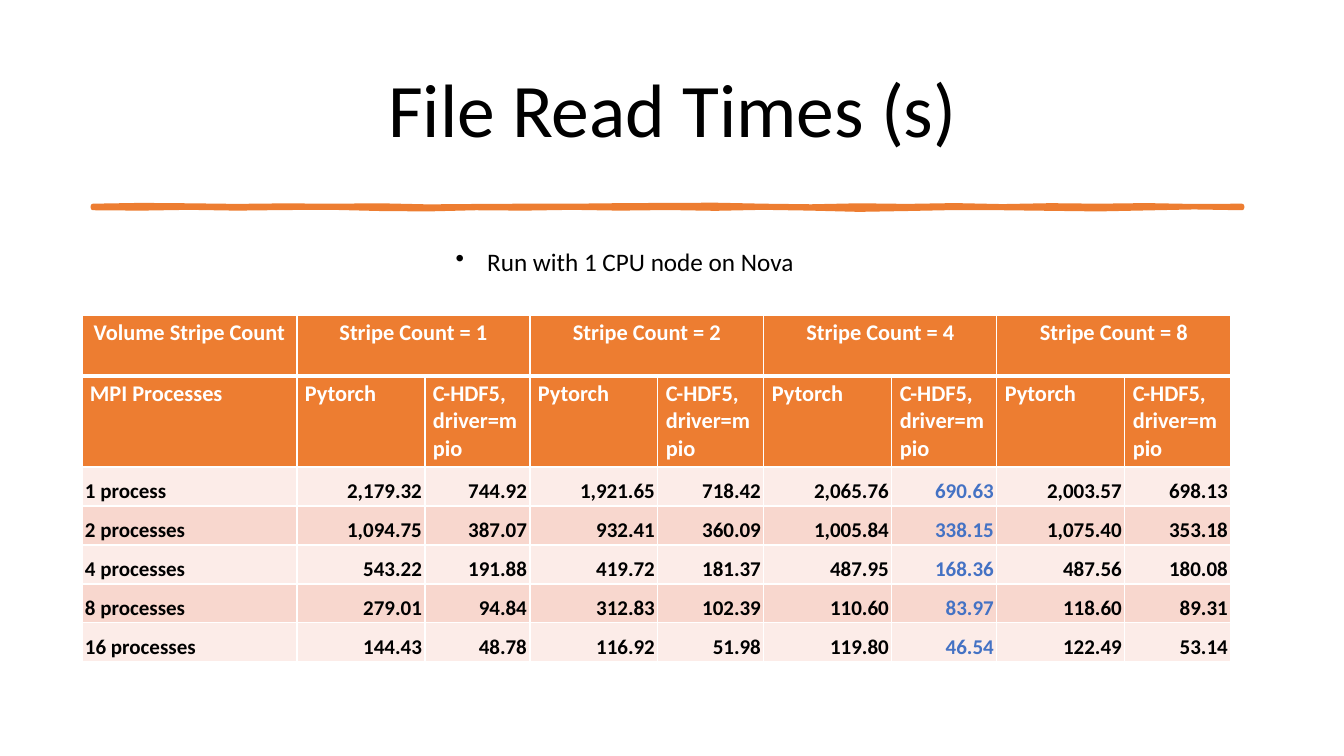
from pptx import Presentation
from pptx.dml.color import RGBColor
from pptx.enum.text import MSO_ANCHOR, PP_ALIGN
from pptx.oxml import parse_xml
from pptx.oxml.ns import nsdecls
from pptx.util import Emu, Pt

PIXEL = 914400 / 100.8
FONT = "Calibri"
COLORS = {
    "black": "000000",
    "white": "FFFFFF",
    "orange": "ED7D31",
    "blue": "4472C4",
    "light": "FCECE8",
    "peach": "F8D7CE",
}

COLUMN_WIDTHS = [215] + [128, 105, 128, 106] * 2
ROW_HEIGHTS = [61, 91] + [39] * 5
STRIPE_COUNTS = [1, 2, 4, 8]
BEST_COLUMN = 6
READ_TIMES = [
    ["1 process", "2,179.32", "744.92", "1,921.65", "718.42",
     "2,065.76", "690.63", "2,003.57", "698.13"],
    ["2 processes", "1,094.75", "387.07", "932.41", "360.09",
     "1,005.84", "338.15", "1,075.40", "353.18"],
    ["4 processes", "543.22", "191.88", "419.72", "181.37",
     "487.95", "168.36", "487.56", "180.08"],
    ["8 processes", "279.01", "94.84", "312.83", "102.39",
     "110.60", "83.97", "118.60", "89.31"],
    ["16 processes", "144.43", "48.78", "116.92", "51.98",
     "119.80", "46.54", "122.49", "53.14"],
]

# Height of the brush stroke's edges at equal steps, in tenths of a pixel
STROKE_TOP = [0, -8, -4, 2, -3, 0, -4, 7, 3, 0, 0, -5, -8,
              -10, 0, 6, -4, 2, -6, 4, -5, 0, -6, 3, 0]
STROKE_BOTTOM = [20, 24, 16, 24, 18, 16, 28, 32, 20, 24, 16, 24, 18,
                 26, 16, 24, 36, 28, 18, 20, 26, 32, 22, 12, 20]


def emu(pixels):
    """Turn pixels into EMU."""
    return Emu(round(pixels * PIXEL))


def color(name):
    """Look up a named colour."""
    return RGBColor.from_string(COLORS[name])


def write(frame, text, size, ink, align, bold=False):
    """Write one uniformly styled paragraph and return it."""
    para = frame.paragraphs[0]
    para.text = text
    para.alignment = align
    para.font.name = FONT
    para.font.size = Pt(size)
    para.font.bold = bold
    para.font.color.rgb = color(ink)
    return para


def add_text(page, box, text, size):
    """Add a centred text box and return its paragraph."""
    frame = page.shapes.add_textbox(*map(emu, box)).text_frame
    frame.word_wrap = True
    frame.vertical_anchor = MSO_ANCHOR.MIDDLE
    return write(frame, text, size, "black", PP_ALIGN.CENTER)


def add_title(page, box):
    """Add the slide title."""
    add_text(page, box, "File Read Times (s)", 54).line_spacing = 0.9


def add_note(page, box):
    """Add the bulleted remark above the table."""
    para = add_text(page, box, "Run with 1 CPU node on Nova ", 18)
    settings = para._p.get_or_add_pPr()
    settings.set("marL", "285750")
    settings.set("indent", "-285750")
    settings.insert(0, parse_xml(f'<a:buChar {nsdecls("a")} char="•"/>'))


def add_stroke(page, box):
    """Draw the hand-drawn rule across the box."""
    left, top, width, _ = box
    step = width * 10 / (len(STROKE_TOP) - 1)
    upper = [(left * 10 + i * step, top * 10 + y) for i, y in enumerate(STROKE_TOP)]
    lower = [(left * 10 + i * step, top * 10 + y) for i, y in enumerate(STROKE_BOTTOM)]
    builder = page.shapes.build_freeform(*upper[0], scale=PIXEL / 10)
    builder.add_line_segments(upper[1:] + lower[::-1], close=True)
    stroke = builder.convert_to_shape()
    stroke.shadow.inherit = False
    stroke.fill.solid()
    stroke.fill.fore_color.rgb = color("orange")
    stroke.line.color.rgb = color("orange")
    stroke.line.width = Pt(3.25)


def add_borders(cell, top, bottom):
    """Draw white cell borders; top and bottom are widths in points."""
    settings = cell._tc.get_or_add_tcPr()
    widths = {"lnL": 1, "lnR": 1, "lnT": top, "lnB": bottom}
    for index, (side, points) in enumerate(widths.items()):
        settings.insert(index, parse_xml(
            f'<a:{side} {nsdecls("a")} w="{Pt(points)}"><a:solidFill>'
            f'<a:srgbClr val="{COLORS["white"]}"/></a:solidFill></a:{side}>'))


def style_cell(cell, row, column, text):
    """Fill one cell by its place in the table."""
    header = row < 2
    cell.margin_left = cell.margin_right = emu(8 if header else 3)
    cell.margin_top = cell.margin_bottom = emu(4 if header else 2)
    cell.vertical_anchor = MSO_ANCHOR.TOP if header else MSO_ANCHOR.BOTTOM
    cell.fill.solid()
    shade = "orange" if header else ("light", "peach")[row % 2]
    cell.fill.fore_color.rgb = color(shade)
    add_borders(cell, top=3 if row == 1 else 1, bottom=3 if row == 0 else 1)
    if row == 0:
        align = PP_ALIGN.CENTER
    elif header or column == 0:
        align = PP_ALIGN.LEFT
    else:
        align = PP_ALIGN.RIGHT
    ink = "white" if header else "blue" if column == BEST_COLUMN else "black"
    write(cell.text_frame, text, 16 if header else 15, ink, align, bold=True)


def add_times_table(page, box):
    """Add the table of read times per stripe count."""
    stripes = ["Volume Stripe Count"]
    for count in STRIPE_COUNTS:
        stripes += [f"Stripe Count = {count}", ""]
    drivers = ["MPI Processes"] + ["Pytorch", "C-HDF5, driver=mpio"] * len(STRIPE_COUNTS)
    rows = [stripes, drivers] + READ_TIMES
    table = page.shapes.add_table(len(rows), len(drivers), *map(emu, box)).table
    for column, width in zip(table.columns, COLUMN_WIDTHS):
        column.width = emu(width)
    for row, height in zip(table.rows, ROW_HEIGHTS):
        row.height = emu(height)
    for row, texts in enumerate(rows):
        for column, text in enumerate(texts):
            style_cell(table.cell(row, column), row, column, text)
    for column in range(1, len(drivers), 2):
        table.cell(0, column).merge(table.cell(0, column + 1))


def build():
    """Build the slide and save the deck."""
    deck = Presentation()
    deck.slide_width, deck.slide_height = emu(1344), emu(756)
    page = deck.slides.add_slide(deck.slide_layouts[6])
    add_title(page, (93, 40, 1159, 146))
    add_stroke(page, (93, 206, 1149, 2))
    add_times_table(page, (82, 315, sum(COLUMN_WIDTHS), sum(ROW_HEIGHTS)))
    add_note(page, (296, 241, 663, 41))
    deck.save("out.pptx")


build()
